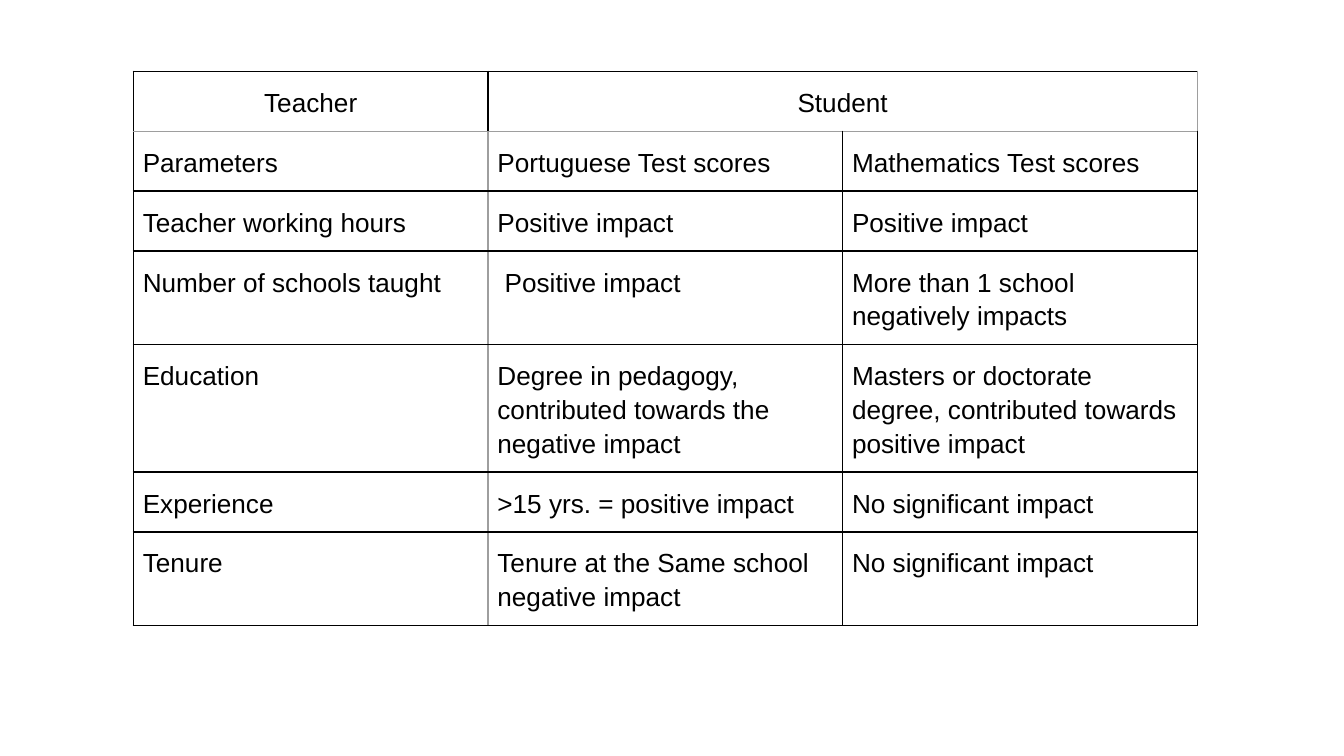
import pptx
import pptx.dml.color
import pptx.enum.text
import pptx.oxml
import pptx.oxml.ns
import pptx.util
from dataclasses import dataclass

Pt = pptx.util.Pt


@dataclass(frozen=True)
class Theme:
    font: str = "Arial"
    size: float = 14
    line_spacing: float = 1.15
    text: str = "000000"
    strong: tuple = ("000000", 1)
    soft: tuple = ("9E9E9E", 0.75)


THEME = Theme()
ROWS = [
    ("Teacher", "Student", ""),
    ("Parameters", "Portuguese Test scores", "Mathematics Test scores"),
    ("Teacher working hours", "Positive impact", "Positive impact"),
    ("Number of schools taught", " Positive impact", "More than 1 school negatively impacts"),
    ("Education", "Degree in pedagogy, contributed towards the negative impact",
     "Masters or doctorate degree, contributed towards positive impact"),
    ("Experience", ">15 yrs. = positive impact", "No significant impact"),
    ("Tenure", "Tenure at the Same school negative impact", "No significant impact"),
]
SLIDE_SIZE = (720, 405)
TABLE_LEFT, TABLE_TOP = 71.5, 38.25
COLUMN_WIDTH, ROW_HEIGHT = 190, 30.25
SIDE_MARGIN, EDGE_MARGIN = 5, 7


def soft_sides(row, column):
    if row == 0:
        return "B" if column == 0 else "RB"
    return ("T" if row == 1 else "") + ("R", "L", "")[column]


def draw_borders(cell, soft):
    properties = cell._tc.get_or_add_tcPr()
    for side in "LRTB":
        color, width = THEME.soft if side in soft else THEME.strong
        properties.append(pptx.oxml.parse_xml(
            f'<a:ln{side} {pptx.oxml.ns.nsdecls("a")} w="{Pt(width)}">'
            f'<a:solidFill><a:srgbClr val="{color}"/></a:solidFill></a:ln{side}>'))


def write_text(cell, text, alignment):
    cell.text = text
    cell.margin_left = cell.margin_right = Pt(SIDE_MARGIN)
    cell.margin_top = cell.margin_bottom = Pt(EDGE_MARGIN)
    cell.vertical_anchor = pptx.enum.text.MSO_ANCHOR.TOP
    paragraph = cell.text_frame.paragraphs[0]
    paragraph.alignment = alignment
    paragraph.line_spacing = THEME.line_spacing
    paragraph.font.name = THEME.font
    paragraph.font.size = Pt(THEME.size)
    paragraph.font.color.rgb = pptx.dml.color.RGBColor.from_string(THEME.text)


def add_findings_table(slide):
    column_count = len(ROWS[0])
    table = slide.shapes.add_table(
        len(ROWS), column_count, Pt(TABLE_LEFT), Pt(TABLE_TOP),
        Pt(COLUMN_WIDTH * column_count), Pt(ROW_HEIGHT * len(ROWS))).table
    table.first_row = table.horz_banding = False
    for column in table.columns:
        column.width = Pt(COLUMN_WIDTH)
    for row in table.rows:
        row.height = Pt(ROW_HEIGHT)
    table.cell(0, 1).merge(table.cell(0, 2))
    align = pptx.enum.text.PP_ALIGN
    for row, texts in enumerate(ROWS):
        for column, text in enumerate(texts):
            cell = table.cell(row, column)
            write_text(cell, text, align.CENTER if row == 0 else align.LEFT)
            draw_borders(cell, soft_sides(row, column))
            cell.fill.background()


def main():
    presentation = pptx.Presentation()
    presentation.slide_width, presentation.slide_height = map(Pt, SLIDE_SIZE)
    slide = presentation.slides.add_slide(presentation.slide_layouts[6])
    add_findings_table(slide)
    presentation.save("out.pptx")


if __name__ == "__main__":
    main()
